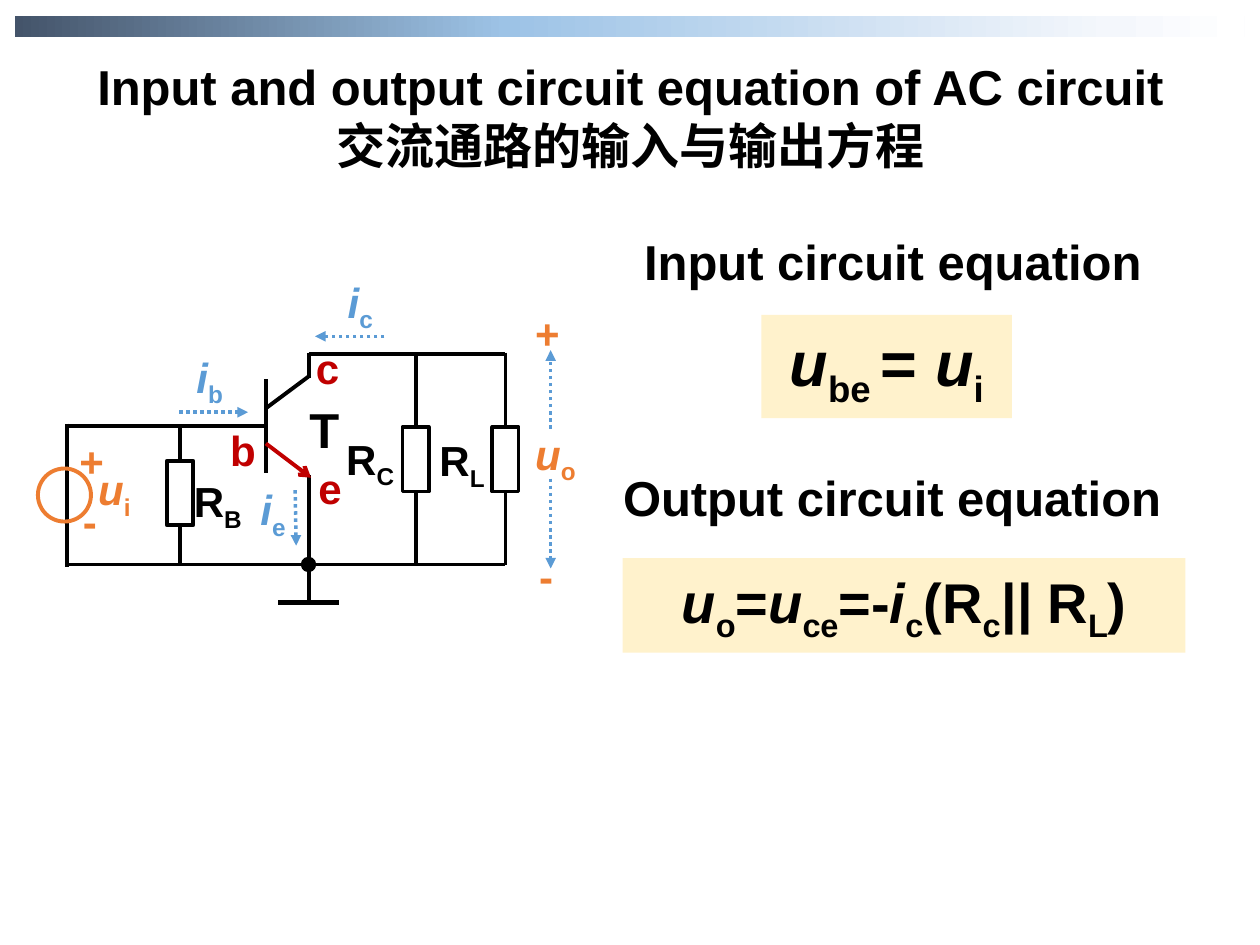
import copy

import pptx
import pptx.dml.color
import pptx.enum.dml
import pptx.enum.shapes
import pptx.enum.text
import pptx.oxml
import pptx.oxml.ns
import pptx.util
from pptx.util import Cm

RGBColor = pptx.dml.color.RGBColor
BLACK = RGBColor(0x00, 0x00, 0x00)
WHITE = RGBColor(0xFF, 0xFF, 0xFF)
RED = RGBColor(0xC0, 0x00, 0x00)
ORANGE = RGBColor(0xED, 0x7D, 0x31)
BLUE = RGBColor(0x5B, 0x9B, 0xD5)
CREAM = RGBColor(0xFF, 0xF2, 0xCC)
BAR_STOPS = [
    (0, RGBColor(0x44, 0x54, 0x6A)),
    (0.4, RGBColor(0x9D, 0xC3, 0xE6)),
    (0.89, RGBColor(0xF4, 0xF7, 0xFC)),
    (1, WHITE),
]
SHAPES = pptx.enum.shapes.MSO_SHAPE
CENTER = pptx.enum.text.PP_ALIGN.CENTER
LEFT = pptx.enum.text.PP_ALIGN.LEFT
ITALIC, SUBSCRIPT, CHINESE = "italic", "subscript", "chinese"


def write_runs(shape, runs, size, color=BLACK, align=LEFT):
    """Write (text, style) runs into the first paragraph of a shape."""
    paragraph = shape.text_frame.paragraphs[0]
    paragraph.alignment = align
    for text, style in runs:
        run = paragraph.add_run()
        run.text = text
        run.font.name = "Noto Sans CJK SC" if style == CHINESE else "Arial"
        run.font.size = pptx.util.Pt(size)
        run.font.bold = True
        run.font.italic = style == ITALIC
        run.font.color.rgb = color
        properties = run._r.get_or_add_rPr()
        if style == SUBSCRIPT:
            properties.set("baseline", "-25000")
        if style == CHINESE:
            east_asian = pptx.oxml.ns.qn("a:ea")
            properties.append(properties.makeelement(east_asian, {"typeface": run.font.name}))


def add_text(shapes, left, top, width, height, runs, size, color=BLACK, align=LEFT):
    box = shapes.add_textbox(Cm(left), Cm(top), Cm(width), Cm(height))
    box.text_frame.word_wrap = True
    write_runs(box, runs, size, color, align)


def add_solid(shapes, kind, left, top, width, height, fill=None, line=None):
    shape = shapes.add_shape(kind, Cm(left), Cm(top), Cm(width), Cm(height))
    shape.shadow.inherit = False
    if fill is None:
        shape.fill.background()
    else:
        shape.fill.solid()
        shape.fill.fore_color.rgb = fill
    if line is None:
        shape.line.fill.background()
    else:
        shape.line.color.rgb = line
        shape.line.width = pptx.util.Pt(2.25)
    return shape


def add_line(shapes, x1, y1, x2, y2, color=BLACK, width=2.25, arrow=None, dotted=False):
    line = shapes.add_connector(
        pptx.enum.shapes.MSO_CONNECTOR.STRAIGHT, Cm(x1), Cm(y1), Cm(x2), Cm(y2))
    line.line.color.rgb = color
    line.line.width = pptx.util.Pt(width)
    if dotted:
        line.line.dash_style = pptx.enum.dml.MSO_LINE.ROUND_DOT
    if arrow:
        outline = line.line._get_or_add_ln()
        outline.append(outline.makeelement(pptx.oxml.ns.qn("a:tailEnd"), {"type": arrow}))
    properties = line._element.spPr
    properties.append(properties.makeelement(pptx.oxml.ns.qn("a:effectLst"), {}))


def add_header(slide, left, top, width):
    # Gradient bar
    bar = add_solid(slide.shapes, SHAPES.RECTANGLE, left, top, width, 0.41)
    bar.fill.gradient()
    bar.fill.gradient_angle = 0
    stop_list = next(bar._element.iter(pptx.oxml.ns.qn("a:gsLst")))
    for _ in BAR_STOPS[2:]:
        stop_list.append(copy.deepcopy(stop_list[0]))
    for stop, (position, color) in zip(bar.fill.gradient_stops, BAR_STOPS):
        stop.position = position
        stop.color.rgb = color
    # Title in two languages
    title = [("Input and output circuit equation of AC circuit ", None),
             ("交流通路的输入与输出方程", CHINESE)]
    add_text(slide.shapes, left + 1.35, top + 0.69, 22.12, 2.64, title, 28, align=CENTER)


def add_circuit(slide, left, top):
    shapes = slide.shapes.add_group_shape().shapes
    source_x, bias_x, base_x, emitter_x = 0.6, 2.88, 4.61, 5.47
    collector_x, load_x, output_x = 7.63, 9.44, 10.35
    rail_y, base_y, ground_y, earth_y = 1.74, 3.19, 5.98, 6.74

    def line(x1, y1, x2, y2, **style):
        add_line(shapes, left + x1, top + y1, left + x2, top + y2, **style)

    def centered(kind, x, y, width, height, **style):
        add_solid(shapes, kind, left + x - width / 2, top + y - height / 2,
                  width, height, **style)

    # Wires, transistor and earth
    for wire in [
        (source_x, base_y - 0.05, source_x, ground_y + 0.05),
        (source_x, base_y, base_x, base_y),
        (source_x, ground_y, load_x, ground_y),
        (emitter_x, rail_y, load_x, rail_y),
        (bias_x, base_y, bias_x, ground_y),
        (collector_x, rail_y, collector_x, ground_y),
        (load_x, rail_y - 0.03, load_x, ground_y),
        (base_x, 2.25, base_x, 4.13),
        (base_x, 2.83, emitter_x, 2.19),
        (emitter_x, rail_y - 0.03, emitter_x, 2.22),
        (emitter_x, 4.18, emitter_x, earth_y),
    ]:
        line(*wire)
    line(base_x, 3.54, emitter_x + 0.05, 4.23, color=RED, arrow="arrow")
    line(emitter_x - 0.61, earth_y, emitter_x + 0.61, earth_y, width=3)

    # Resistors, junction and source
    for x, y in [(bias_x, 4.54), (collector_x, 3.86), (load_x, 3.86)]:
        centered(SHAPES.RECTANGLE, x, y, 0.53, 1.3, fill=WHITE, line=BLACK)
    centered(SHAPES.OVAL, emitter_x, ground_y, 0.23, 0.23, fill=BLACK, line=BLACK)
    centered(SHAPES.OVAL, 0.55, 4.58, 1.07, 1.07, line=ORANGE)

    # Current and voltage arrows
    for arrow in [
        (7.0, 1.38, 5.6, 1.38),
        (2.86, 2.91, 4.25, 2.91),
        (5.2, 4.48, 5.22, 5.6),
        (output_x, 4.25, output_x, 6.06),
        (output_x, 3.24, output_x, 1.66),
    ]:
        line(*arrow, color=BLUE, width=2, arrow="triangle", dotted=True)

    # Symbols with a subscript: main letter, subscript, style, colour, place
    for letter, index, style, color, x, y in [
        ("R", "C", None, BLACK, 5.98, 3.21),
        ("R", "B", None, BLACK, 2.91, 4.07),
        ("R", "L", None, BLACK, 7.86, 3.24),
        ("u", "i", ITALIC, ORANGE, 0.98, 3.82),
        ("u", "o", ITALIC, ORANGE, 9.79, 3.11),
        ("i", "c", ITALIC, BLUE, 6.01, 0.04),
        ("i", "b", ITALIC, BLUE, 2.96, 1.56),
        ("i", "e", ITALIC, BLUE, 4.25, 4.23),
    ]:
        add_text(shapes, left + x, top + y, 1.8, 1.5,
                 [(letter, style), (index, SUBSCRIPT)], 24, color)

    # Terminals and polarity marks
    for text, size, color, x, y in [
        ("T", 28, BLACK, 5.24, 2.52),
        ("b", 24, RED, 3.64, 3.03),
        ("e", 24, RED, 5.42, 3.79),
        ("c", 24, RED, 5.37, 1.38),
        ("+", 24, ORANGE, 0.6, 3.26),
        ("-", 24, ORANGE, 0.67, 4.46),
        ("+", 24, ORANGE, 9.79, 0.67),
        ("-", 24, ORANGE, 9.87, 5.57),
    ]:
        add_text(shapes, left + x, top + y, 1.3, 1.27, [(text, None)], size, color)


def add_equation(slide, left, top, width, heading, offset, box_size, runs, size):
    """Place a heading and, at an offset from it, a filled equation box."""
    add_text(slide.shapes, left, top, width, 1.45, [(heading, None)], 28, align=CENTER)
    box = add_solid(slide.shapes, SHAPES.RECTANGLE, left + offset[0], top + offset[1],
                    *box_size, fill=CREAM)
    box.text_frame.word_wrap = False
    write_runs(box, runs, size, align=CENTER)


def main():
    presentation = pptx.Presentation()
    presentation.slide_width, presentation.slide_height = Cm(25.4), Cm(19.05)
    slide = presentation.slides.add_slide(presentation.slide_layouts[6])

    add_header(slide, 0.3, 0.33, 24.79)
    add_circuit(slide, 0.75, 5.4)
    input_runs = [("u", ITALIC), ("be ", SUBSCRIPT), ("= ", None),
                  ("u", ITALIC), ("i", SUBSCRIPT)]
    add_equation(slide, 12.55, 4.55, 10.9, "Input circuit equation",
                 (2.8, 1.8), (5.05, 2.08), input_runs, 36)
    output_runs = [("u", ITALIC), ("o", SUBSCRIPT), ("=", None), ("u", ITALIC),
                   ("ce", SUBSCRIPT), ("=-", None), ("i", ITALIC), ("c", SUBSCRIPT),
                   ("(R", None), ("c", SUBSCRIPT), ("|| ", ITALIC), ("R", None),
                   ("L", SUBSCRIPT), (")", None)]
    add_equation(slide, 11.56, 9.3, 12.85, "Output circuit equation",
                 (0.99, 1.95), (11.35, 1.91), output_runs, 32)
    presentation.save("out.pptx")


if __name__ == "__main__":
    main()
